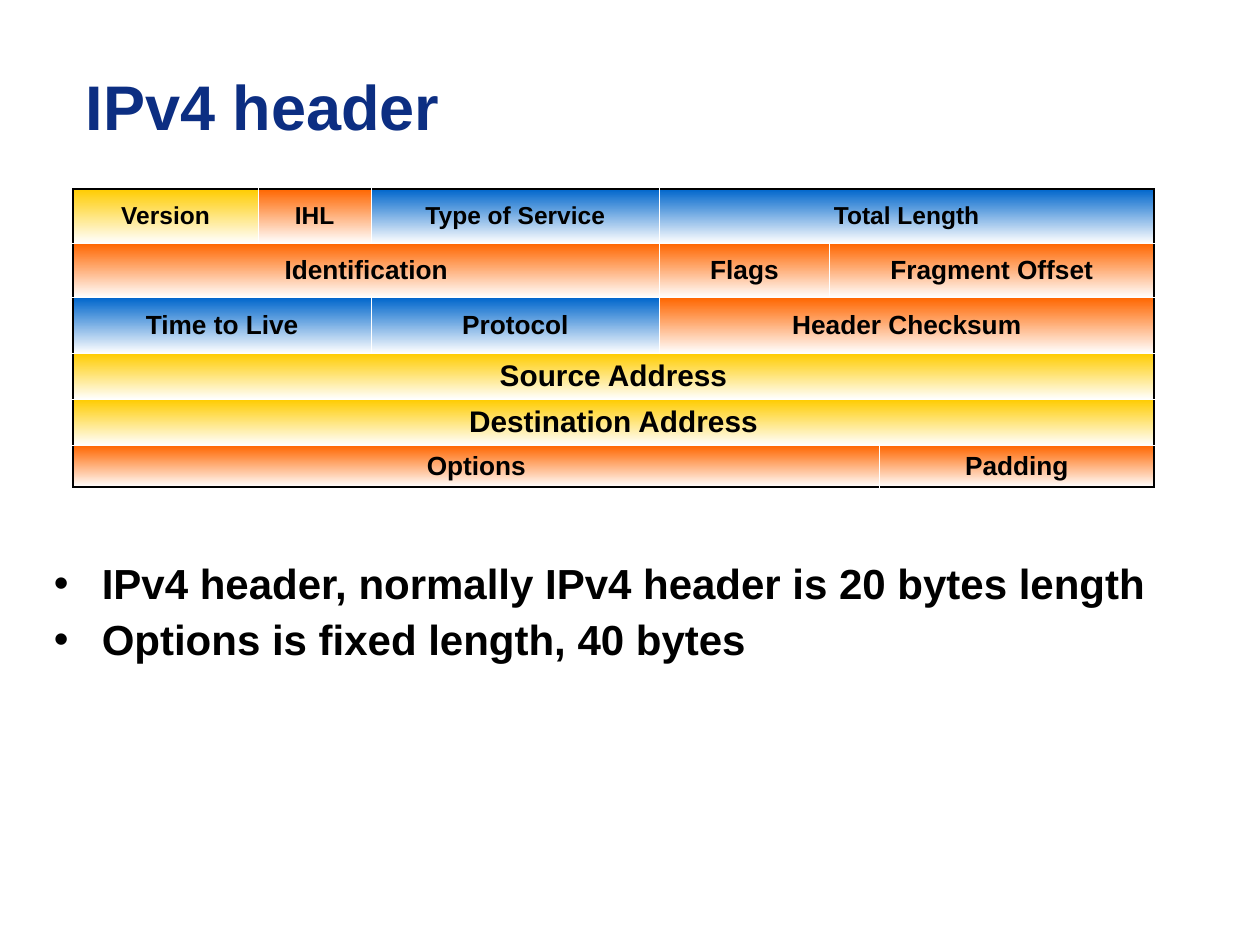
from dataclasses import dataclass
from itertools import accumulate

from lxml.etree import SubElement
from pptx import Presentation
from pptx.dml.color import RGBColor
from pptx.enum.text import MSO_ANCHOR, MSO_AUTO_SIZE, PP_ALIGN
from pptx.oxml.ns import qn
from pptx.util import Inches, Pt


@dataclass(frozen=True)
class Theme:
    font: str = "Arial"
    title: str = "0C2E82"
    ink: str = "000000"
    paper: str = "FFFFFF"
    yellow: str = "FFCC00"
    orange: str = "FF6600"
    blue: str = "0066CC"
    title_size: int = 36
    body_size: int = 24
    outer_line: float = 1.08
    inner_line: float = 0.45


THEME = Theme()

COLUMNS = (1.47, 0.9, 2.29, 1.35, 0.4, 2.18)
# Row height, type size, then the fields as (name, columns spanned, colour).
HEADER_ROWS = (
    (0.43, 14, (("Version", 1, THEME.yellow), ("IHL", 1, THEME.orange),
                ("Type of Service", 1, THEME.blue), ("Total Length", 3, THEME.blue))),
    (0.43, 15, (("Identification", 3, THEME.orange), ("Flags", 1, THEME.orange),
                ("Fragment Offset", 2, THEME.orange))),
    (0.44, 15, (("Time to Live", 2, THEME.blue), ("Protocol", 1, THEME.blue),
                ("Header Checksum", 3, THEME.orange))),
    (0.36, 17, (("Source Address", 6, THEME.yellow),)),
    (0.36, 17, (("Destination Address", 6, THEME.yellow),)),
    (0.33, 15, (("Options", 5, THEME.orange), ("Padding", 1, THEME.orange))),
)
REMARKS = (
    "IPv4 header, normally IPv4 header is 20 bytes length",
    "Options is fixed length, 40 bytes",
)


def style_text(paragraph, size, color=THEME.ink):
    for run in paragraph.runs:
        run.font.name = THEME.font
        run.font.size = Pt(size)
        run.font.bold = True
        run.font.color.rgb = RGBColor.from_string(color)


def set_borders(cell, outer_sides):
    """Draw the four sides, black where the field meets the table's edge."""
    properties = cell._tc.get_or_add_tcPr()
    for side in "LRTB":
        outer = side in outer_sides
        width = THEME.outer_line if outer else THEME.inner_line
        line = SubElement(properties, qn(f"a:ln{side}"), w=str(Pt(width)))
        fill = SubElement(line, qn("a:solidFill"))
        SubElement(fill, qn("a:srgbClr"), val=THEME.ink if outer else THEME.paper)


def fade_to_paper(cell, color):
    cell.fill.gradient()
    cell.fill.gradient_angle = 270
    for stop, shade in zip(cell.fill.gradient_stops, (color, THEME.paper)):
        stop.color.rgb = RGBColor.from_string(shade)


def add_title(slide, box):
    title = slide.shapes.title
    title.left, title.top, title.width, title.height = box
    frame = title.text_frame
    frame.text = "IPv4 header"
    frame.auto_size = MSO_AUTO_SIZE.NONE
    frame.vertical_anchor = MSO_ANCHOR.MIDDLE
    frame.paragraphs[0].alignment = PP_ALIGN.LEFT
    style_text(frame.paragraphs[0], THEME.title_size, THEME.title)


def add_field(table, row, first, span, name, size, color):
    """Fill one header field that spans columns from first on."""
    last = first + span - 1
    sides = {"L": first == 0, "R": last == len(COLUMNS) - 1,
             "T": row == 0, "B": row == len(HEADER_ROWS) - 1}
    outer_sides = [side for side, outer in sides.items() if outer]
    field = table.cell(row, first)
    if span > 1:
        field.merge(table.cell(row, last))
    for column in range(first, last + 1):
        part = table.cell(row, column)
        set_borders(part, outer_sides)
        fade_to_paper(part, color)
    field.vertical_anchor = MSO_ANCHOR.MIDDLE
    field.margin_left = field.margin_right = Inches(0.08)
    field.text = name
    label = field.text_frame.paragraphs[0]
    label.alignment = PP_ALIGN.CENTER
    label.space_before = Pt(size / 4)
    style_text(label, size)


def add_header_table(slide, box):
    left, top, width, height = box
    table = slide.shapes.add_table(
        len(HEADER_ROWS), len(COLUMNS), left, top, width, height).table
    table.first_row = table.horz_banding = False
    for column, share in zip(table.columns, COLUMNS):
        column.width = int(width * share / sum(COLUMNS))
    total = sum(row_height for row_height, _, _ in HEADER_ROWS)
    for row, (row_height, size, fields) in enumerate(HEADER_ROWS):
        table.rows[row].height = int(height * row_height / total)
        starts = accumulate((span for _, span, _ in fields), initial=0)
        for first, (name, span, color) in zip(starts, fields):
            add_field(table, row, first, span, name, size, color)


def add_remarks(slide, box):
    frame = slide.shapes.add_textbox(*box).text_frame
    frame.word_wrap = True
    frame.text = "\n".join(REMARKS)
    indent = Inches(0.38)
    for remark in frame.paragraphs:
        remark.line_spacing = 0.9
        remark.space_before = Pt(6)
        style_text(remark, THEME.body_size)
        properties = remark._p.get_or_add_pPr()
        properties.set("marL", str(indent))
        properties.set("indent", str(-indent))
        bullet_color = SubElement(properties, qn("a:buClr"))
        SubElement(bullet_color, qn("a:srgbClr"), val=THEME.ink)
        SubElement(properties, qn("a:buFont"), typeface=THEME.font)
        SubElement(properties, qn("a:buChar"), char="•")


def main():
    deck = Presentation()
    deck.slide_width, deck.slide_height = Inches(10), Inches(7.5)
    slide = deck.slides.add_slide(deck.slide_layouts.get_by_name("Title Only"))

    def box(*inches):
        return [Inches(length) for length in inches]

    add_title(slide, box(0.58, 0.25, 8.67, 1.17))
    add_header_table(slide, box(0.58, 1.5, 8.58, 2.36))
    add_remarks(slide, box(0.33, 4.42, 9.08, 1.58))
    deck.save("out.pptx")


if __name__ == "__main__":
    main()
